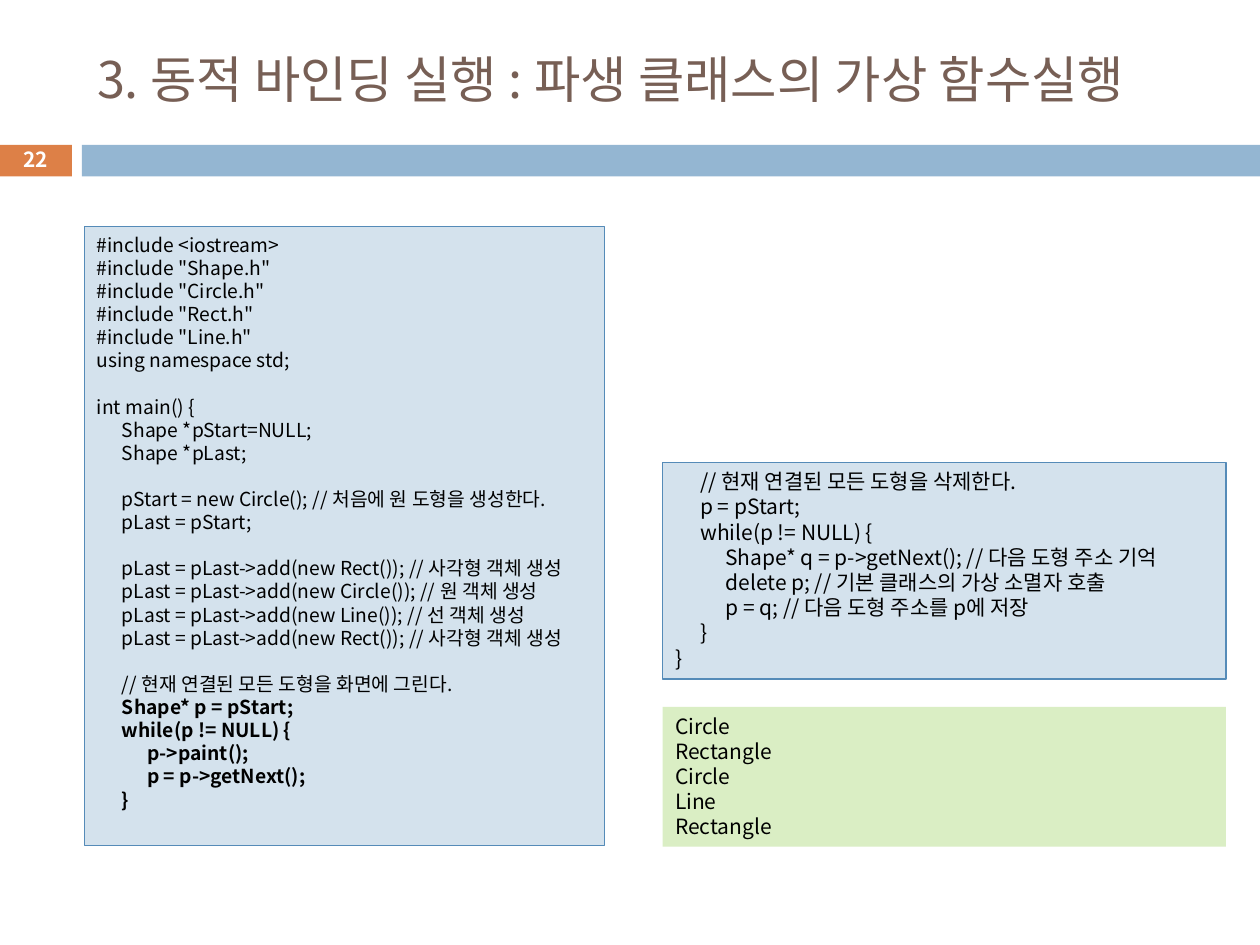
from dataclasses import dataclass

from lxml import etree
from pptx import Presentation
from pptx import util as u
from pptx.dml.color import RGBColor
from pptx.enum import shapes, text
from pptx.oxml.ns import qn


@dataclass(frozen=True)
class Theme:
    font: str = "Noto Sans CJK KR"
    title: str = "775F55"
    accent: str = "DD8047"
    band: str = "94B6D2"
    code_fill: str = "D4E2ED"
    code_line: str = "558BB8"
    output_fill: str = "DAEEC4"
    ink: str = "000000"
    white: str = "FFFFFF"
    title_size: float = 28.8
    number_size: float = 11.9
    small_code: float = 11
    code: float = 12
    line_pitch: float = 1.2
    tab: float = 0.2


# Each block of code is separated from the next by one line of space
PROGRAM = [
    """#include <iostream>
#include "Shape.h"
#include "Circle.h"
#include "Rect.h"
#include "Line.h"
using namespace std;""",
    """int main() {
\tShape *pStart=NULL;
\tShape *pLast;""",
    """\tpStart = new Circle(); // 처음에 원 도형을 생성한다.
\tpLast = pStart;""",
    """\tpLast = pLast->add(new Rect()); // 사각형 객체 생성
\tpLast = pLast->add(new Circle()); // 원 객체 생성
\tpLast = pLast->add(new Line()); // 선 객체 생성
\tpLast = pLast->add(new Rect()); // 사각형 객체 생성""",
    """\t// 현재 연결된 모든 도형을 화면에 그린다.
\tShape* p = pStart;
\twhile(p != NULL) {
\t\tp->paint();
\t\tp = p->getNext();
\t}""",
]
PAINT_LOOP_LINES = 5

CLEANUP = ["""\t// 현재 연결된 모든 도형을 삭제한다.
\tp = pStart;
\twhile(p != NULL) {
\t\tShape* q = p->getNext(); // 다음 도형 주소 기억
\t\tdelete p; // 기본 클래스의 가상 소멸자 호출
\t\tp = q; // 다음 도형 주소를 p에 저장
\t}
}"""]

OUTPUT = ["Circle\nRectangle\nCircle\nLine\nRectangle"]


class SlideBuilder:
    def __init__(self, slide, theme):
        self.slide = slide
        self.theme = theme

    def format_runs(self, paragraph, size, color, bold=False):
        for run in paragraph.runs:
            run.font.name = self.theme.font
            run.font.size = u.Pt(size)
            run.font.bold = bold
            run.font.color.rgb = RGBColor.from_string(color)
            # Korean glyphs take the East Asian typeface
            east_asian = etree.SubElement(run.font._element, qn("a:ea"))
            east_asian.set("typeface", self.theme.font)

    def title(self, wording, left, top, width, height):
        shape = self.slide.shapes.title
        shape.left, shape.top = u.Inches(left), u.Inches(top)
        shape.width, shape.height = u.Inches(width), u.Inches(height)
        frame = shape.text_frame
        frame.text = wording
        frame.auto_size = text.MSO_AUTO_SIZE.NONE
        frame.vertical_anchor = text.MSO_ANCHOR.MIDDLE
        paragraph = frame.paragraphs[0]
        paragraph.alignment = text.PP_ALIGN.LEFT
        self.format_runs(paragraph, self.theme.title_size, self.theme.title)

    def box(self, left, top, width, height, fill, line=None):
        shape = self.slide.shapes.add_shape(
            shapes.MSO_SHAPE.RECTANGLE, u.Inches(left), u.Inches(top),
            u.Inches(width), u.Inches(height))
        shape.shadow.inherit = False
        shape.fill.solid()
        shape.fill.fore_color.rgb = RGBColor.from_string(fill)
        if line:
            shape.line.color.rgb = RGBColor.from_string(line)
            shape.line.width = u.Pt(0.75)
        else:
            shape.line.fill.background()
        return shape

    def page_number(self, number, left, top, width, height):
        shape = self.slide.shapes.add_textbox(
            u.Inches(left), u.Inches(top), u.Inches(width), u.Inches(height))
        frame = shape.text_frame
        frame.word_wrap = True
        frame.vertical_anchor = text.MSO_ANCHOR.MIDDLE
        frame.margin_top = frame.margin_bottom = 0
        frame.text = number
        paragraph = frame.paragraphs[0]
        paragraph.alignment = text.PP_ALIGN.CENTER
        self.format_runs(paragraph, self.theme.number_size, self.theme.white, True)

    def listing(self, shape, blocks, size, bold_lines=0):
        pitch = u.Pt(size * self.theme.line_pitch)
        frame = shape.text_frame
        frame.word_wrap = True
        frame.vertical_anchor = text.MSO_ANCHOR.TOP
        frame.text = "\n".join(blocks)
        block_starts = set()
        line_count = 0
        for block in blocks:
            block_starts.add(line_count)
            line_count += len(block.split("\n"))
        for index, paragraph in enumerate(frame.paragraphs):
            paragraph.alignment = text.PP_ALIGN.LEFT
            paragraph.line_spacing = pitch
            if index and index in block_starts:
                paragraph.space_before = pitch
            self.tab_stops(paragraph)
            self.format_runs(paragraph, size, self.theme.ink,
                             index >= line_count - bold_lines)

    def tab_stops(self, paragraph):
        properties = paragraph._p.get_or_add_pPr()
        stops = etree.SubElement(properties, qn("a:tabLst"))
        for level in (1, 2):
            stop = etree.SubElement(stops, qn("a:tab"))
            stop.set("pos", str(u.Inches(self.theme.tab * level)))
            stop.set("algn", "l")


def main():
    theme = Theme()
    presentation = Presentation()
    presentation.slide_width = u.Inches(10)
    presentation.slide_height = u.Inches(7.5)
    slide = presentation.slides.add_slide(presentation.slide_layouts[5])
    builder = SlideBuilder(slide, theme)

    # Header: title, band and page number
    builder.box(-0.01, 1.15, 0.58, 0.25, theme.accent)
    builder.box(0.65, 1.15, 9.35, 0.25, theme.band)
    builder.title("3. 동적 바인딩 실행 : 파생 클래스의 가상 함수실행", 0.67, 0.25, 8.92, 0.74)
    builder.page_number("22", -0.01, 1.13, 0.58, 0.27)

    # Main program on the left
    program = builder.box(0.67, 1.8, 4.13, 4.91, theme.code_fill, theme.code_line)
    builder.listing(program, PROGRAM, theme.small_code, PAINT_LOOP_LINES)

    # Program output and the rest of the code on the right
    output = builder.box(5.26, 5.61, 4.47, 1.11, theme.output_fill)
    builder.listing(output, OUTPUT, theme.code)
    cleanup = builder.box(5.26, 3.67, 4.47, 1.72, theme.code_fill, theme.code_line)
    builder.listing(cleanup, CLEANUP, theme.code)

    presentation.save("out.pptx")


if __name__ == "__main__":
    main()
